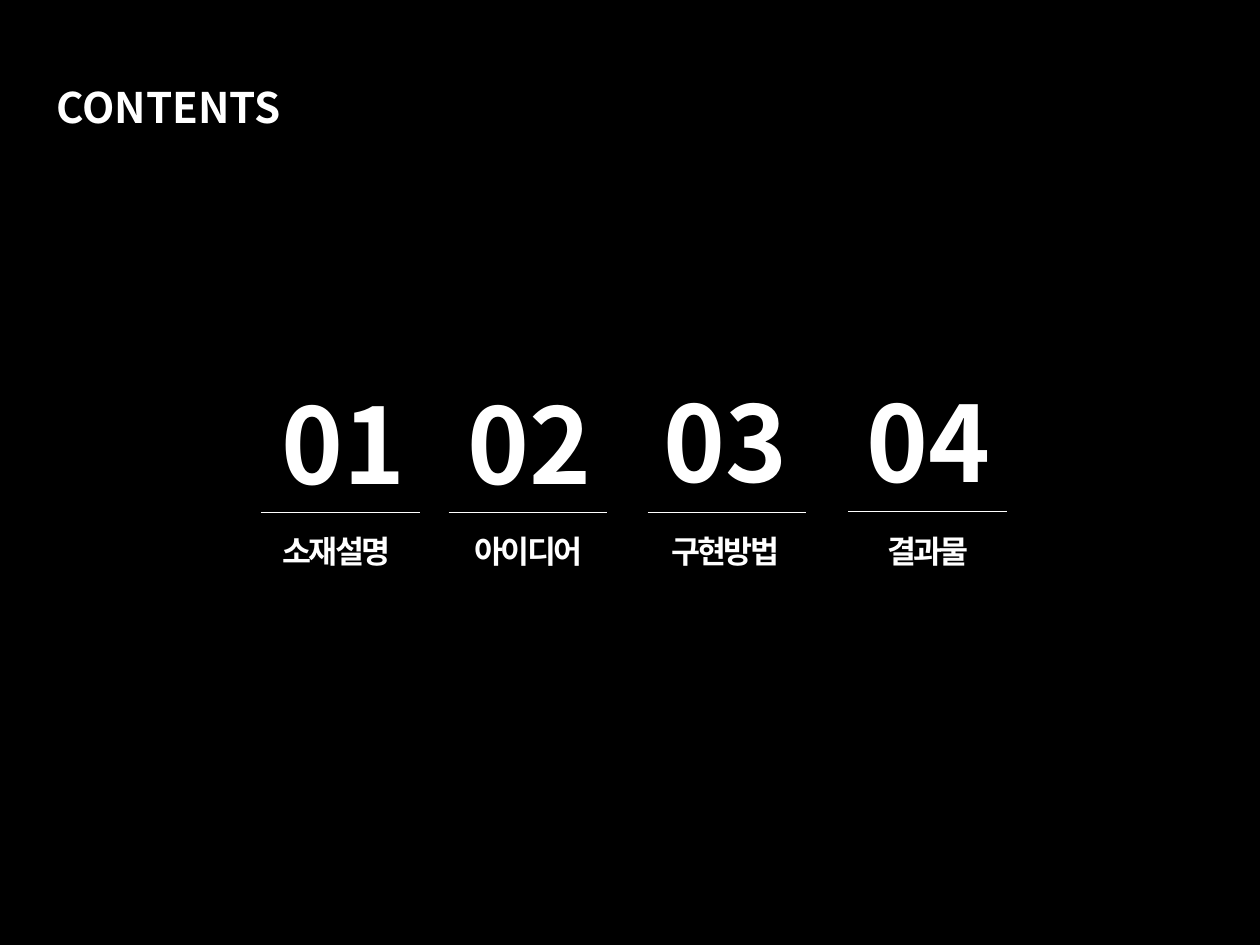
from lxml.etree import SubElement
from pptx import Presentation
from pptx.dml.color import RGBColor
from pptx.enum.shapes import MSO_CONNECTOR
from pptx.enum.text import MSO_AUTO_SIZE, PP_ALIGN
from pptx.oxml.ns import qn
from pptx.util import Inches, Pt

HEADING = "CONTENTS"
# number, number left, number top, rule left, rule y, label, label left, label width
SECTIONS = [
    ("01", 2.05, 2.96, 2.07, 4.07, "소재설명", 1.92, 1.5),
    ("02", 3.53, 2.96, 3.56, 4.07, "아이디어", 3.29, 1.81),
    ("03", 5.08, 2.95, 5.14, 4.07, "구현방법", 4.85, 1.81),
    ("04", 6.69, 2.95, 6.73, 4.06, "결과물", 6.34, 2.05),
]
RULE_WIDTH = 1.26
LABEL_TOP, LABEL_HEIGHT = 4.17, 0.4
NUMBER_WIDTH, NUMBER_HEIGHT = 1.35, 1.11
BLACK, WHITE = "000000", "FFFFFF"
KOREAN_FONT, LATIN_FONT = "Noto Sans CJK KR", "Arial"


def color(value):
    return RGBColor.from_string(value)


def add_text(shapes, text, box, size, font=KOREAN_FONT, align=PP_ALIGN.CENTER, spacing=None):
    frame = shapes.add_textbox(*map(Inches, box)).text_frame
    frame.word_wrap = True
    frame.auto_size = MSO_AUTO_SIZE.SHAPE_TO_FIT_TEXT
    paragraph = frame.paragraphs[0]
    paragraph.alignment = align
    run = paragraph.add_run()
    run.text = text
    run.font.size, run.font.bold, run.font.name = Pt(size), True, font
    run.font.color.rgb = color(WHITE)
    # Hangul takes its typeface from the East Asian slot
    properties = run.font._element
    SubElement(properties, qn("a:ea")).set("typeface", KOREAN_FONT)
    if spacing is not None:
        properties.set("spc", str(int(spacing * 100)))


def add_rule(shapes, left, y):
    rule = shapes.add_connector(
        MSO_CONNECTOR.STRAIGHT, Inches(left), Inches(y), Inches(left + RULE_WIDTH), Inches(y))
    rule.line.color.rgb = color(WHITE)
    rule.line.width = Pt(0.75)
    SubElement(rule._element.spPr, qn("a:effectLst"))


prs = Presentation()
prs.slide_width, prs.slide_height = Inches(10), Inches(7.5)
slide = prs.slides.add_slide(prs.slide_layouts[6])
slide.background.fill.solid()
slide.background.fill.fore_color.rgb = color(BLACK)

# Heading
add_text(slide.shapes, HEADING, (0.35, 0.6, 4.57, 0.5), 24, align=PP_ALIGN.LEFT)

# Sections: rule and label grouped, number above
for number, number_left, number_top, rule_left, rule_y, label, label_left, label_width in SECTIONS:
    section = slide.shapes.add_group_shape()
    add_rule(section.shapes, rule_left, rule_y)
    add_text(section.shapes, label, (label_left, LABEL_TOP, label_width, LABEL_HEIGHT), 18,
             font=LATIN_FONT, spacing=-1.5)
    add_text(slide.shapes, number, (number_left, number_top, NUMBER_WIDTH, NUMBER_HEIGHT), 60)

prs.save("out.pptx")
